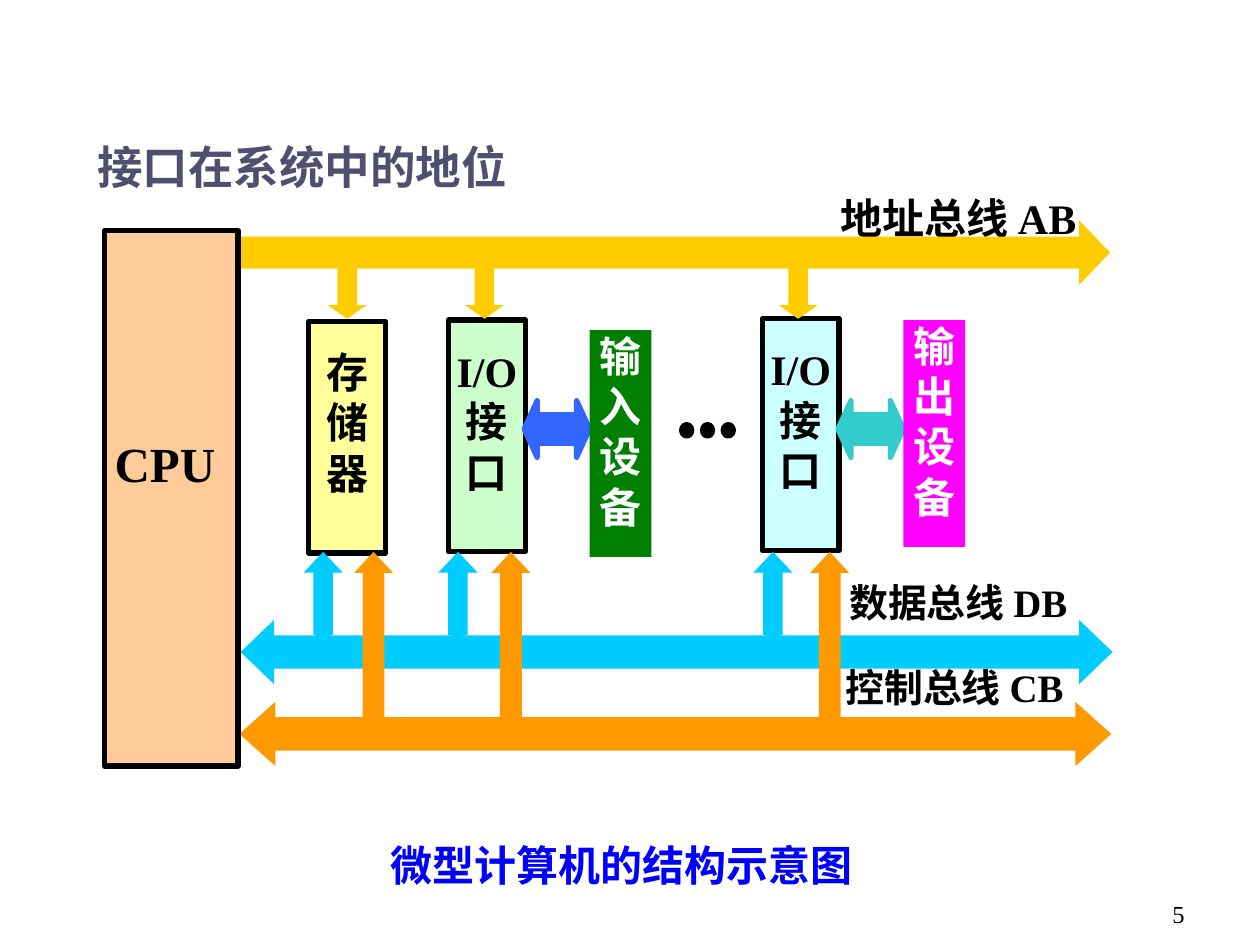
from dataclasses import dataclass
from lxml.etree import SubElement
from pptx import Presentation
from pptx.dml.color import RGBColor as Rgb
from pptx.enum.shapes import MSO_SHAPE as Kind
from pptx.enum.text import MSO_ANCHOR as Anchor, MSO_AUTO_SIZE as Auto, PP_ALIGN as Align
from pptx.oxml.ns import qn
from pptx.util import Inches, Pt


@dataclass(frozen=True)
class Theme:
    latin: str = "Times New Roman"
    asian: str = "Noto Sans CJK SC"
    ink: str = "000000"
    white: str = "FFFFFF"
    title: str = "4F4F70"
    note: str = "0000FF"
    addr: str = "FFCC00"
    data: str = "00CCFF"
    ctrl: str = "FF9900"
    cpu: str = "FFCC99"
    store: str = "FFFF99"
    port_in: str = "CCFFCC"
    port_out: str = "CCFFFF"
    dev_in: str = "008000"
    dev_out: str = "FF00FF"
    link_in: str = "3366FF"
    link_out: str = "33CCCC"
    head: float = 26
    big: float = 28
    body: float = 24
    label: float = 22.2
    small: float = 14
    line: float = 3


T = Theme()
PAD = (0.1, 0.05, 0.1, 0.05)
BARE = (0, 0, 0, 0)
DEEP = (0, 0.2, 0, 0)


def place(shape, at):
    shape.left, shape.top, shape.width, shape.height = map(Inches, at)


def write(shape, text, size, color=T.ink, pad=BARE, align=Align.LEFT,
          pitch=None, bold=True, anchor=Anchor.TOP):
    frame = shape.text_frame
    frame.text = text
    frame.word_wrap = True
    frame.auto_size = Auto.NONE
    frame.vertical_anchor = anchor
    (frame.margin_left, frame.margin_top,
     frame.margin_right, frame.margin_bottom) = map(Inches, pad)
    for para in frame.paragraphs:
        para.alignment = align
        para.space_before = Pt(0)
        if pitch:
            para.line_spacing = Pt(pitch)
        for run in para.runs:
            font = run.font
            font.size, font.bold, font.name = Pt(size), bold, T.latin
            font.color.rgb = Rgb.from_string(color)
            SubElement(font._element, qn("a:ea"), typeface=T.asian)


def label(slide, at, text, size, **style):
    box = slide.shapes.add_textbox(*map(Inches, at))
    write(box, text, size, **style)


def solid(slide, kind, at, fill, line=None, adj=()):
    shape = slide.shapes.add_shape(kind, *map(Inches, at))
    shape.shadow.inherit = False
    shape.fill.solid()
    shape.fill.fore_color.rgb = Rgb.from_string(fill)
    if line:
        shape.line.color.rgb = Rgb.from_string(line)
        shape.line.width = Pt(T.line)
    else:
        shape.line.fill.background()
    for i, value in enumerate(adj):
        shape.adjustments[i] = value
    return shape


def stack(slide, at, text, fill, line=None, color=T.ink, pad=BARE):
    box = solid(slide, Kind.RECTANGLE, at, fill, line)
    write(box, text, T.body, color, pad, Align.CENTER, 28.8)


def branch(slide, kind, left, top, tall, fill, adj, joint):
    wide = 0.31
    solid(slide, kind, (left, top, wide, tall), fill, adj=adj)
    y, w, h = joint
    solid(slide, Kind.RECTANGLE, (left + (wide - w) / 2, y, w, h), fill)


def main():
    deck = Presentation()
    deck.slide_width, deck.slide_height = Inches(10), Inches(7.5)
    slide = deck.slides.add_slide(deck.slide_layouts[5])

    title = slide.shapes.title
    place(title, (0.67, 1, 5.58, 0.54))
    write(title, "接口在系统中的地位", T.head, T.title, PAD, pitch=35)

    label(slide, (7.42, 6.92, 2.08, 0.5), "5", T.small, pad=PAD,
          align=Align.RIGHT, bold=False, anchor=Anchor.BOTTOM)
    label(slide, (6.74, 4.6, 2.43, 0.4), "数据总线 DB", T.label, pitch=26)
    plate = solid(slide, Kind.RECTANGLE, (6.71, 5.28, 2.04, 0.39), T.white, T.white)
    write(plate, "控制总线 CB", T.label, pitch=26)
    label(slide, (6.67, 1.5, 2.5, 0.58), "地址总线 AB", T.body, pitch=31)

    for kind, left, top, fill, adj in (
        (Kind.LEFT_RIGHT_ARROW, 1.91, 4.92, T.data, (0.52, 0.52)),
        (Kind.LEFT_RIGHT_ARROW, 1.9, 5.57, T.ctrl, (0.52, 0.56)),
        (Kind.RIGHT_ARROW, 1.89, 1.75, T.addr, (0.5, 0.48)),
    ):
        solid(slide, kind, (left, top, 6.92, 0.51), fill, adj=adj)

    for left, top, text, fill in (
        (2.45, 2.55, "存\n储\n器", T.store),
        (3.56, 2.54, "I/O\n接\n口", T.port_in),
        (6.05, 2.53, "I/O\n接\n口", T.port_out),
    ):
        stack(slide, (left, top, 0.61, 1.84), text, fill, T.ink, pad=DEEP)

    for left, top, text, fill, link in (
        (4.68, 2.62, "输\n入\n设\n备", T.dev_in, T.link_in),
        (7.17, 2.54, "输\n出\n设\n备", T.dev_out, T.link_out),
    ):
        solid(slide, Kind.LEFT_RIGHT_ARROW, (left - 0.52, 3.18, 0.52, 0.45),
              link, link, (0.5, 0.23))
        stack(slide, (left, top, 0.49, 1.8), text, fill, color=T.white)

    for i in range(3):
        solid(slide, Kind.OVAL, (5.41 + i * 0.165, 3.37, 0.08, 0.09), T.ink, T.ink)

    for data, ctrl, addr in ((2.41, 2.81, 2.6), (3.48, 3.9, 3.69), (5.98, 6.43, 6.18)):
        branch(slide, Kind.UP_ARROW, data, 4.38, 0.66, T.data,
               (0.5, 0.53), (4.99, 0.11, 0.11))
        branch(slide, Kind.UP_ARROW, ctrl, 4.38, 1.48, T.ctrl,
               (0.56, 0.54), (5.81, 0.13, 0.1))
        branch(slide, Kind.DOWN_ARROW, addr, 2.09, 0.44, T.addr,
               (0.5, 0.35), (2.07, 0.12, 0.07))

    cpu = solid(slide, Kind.RECTANGLE, (0.83, 1.83, 1.06, 4.25), T.cpu, T.ink)
    write(cpu, "CPU", T.big, pad=(0.08, 1.61, 0, 0))
    label(slide, (3, 6.58, 4.58, 0.5), "微型计算机的结构示意图", T.body,
          color=T.note, pad=PAD, pitch=31)

    deck.save("out.pptx")


if __name__ == "__main__":
    main()
